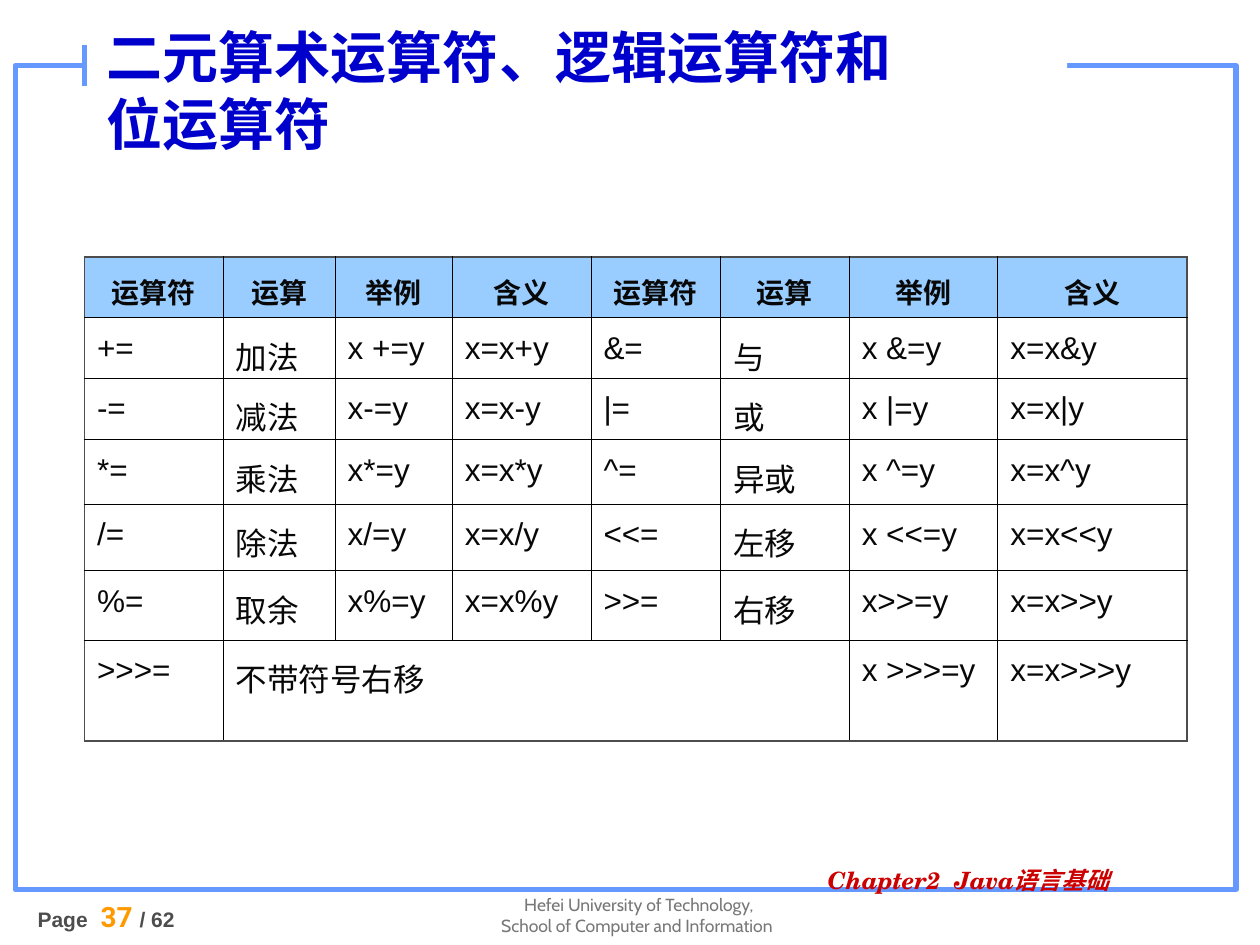
from dataclasses import dataclass

import lxml.etree
import pptx
import pptx.dml.color
import pptx.enum.shapes
import pptx.enum.text
import pptx.oxml.ns
import pptx.util

Inches = pptx.util.Inches
Pt = pptx.util.Pt
RGBColor = pptx.dml.color.RGBColor
Align = pptx.enum.text.PP_ALIGN
Anchor = pptx.enum.text.MSO_ANCHOR
qn = pptx.oxml.ns.qn

WHITE = RGBColor(0xFF, 0xFF, 0xFF)
BLACK = RGBColor(0x00, 0x00, 0x00)
INK = RGBColor(0x08, 0x08, 0x08)
CHARCOAL = RGBColor(0x4D, 0x4D, 0x4D)
GREY = RGBColor(0x77, 0x77, 0x77)
FRAME_BLUE = RGBColor(0x66, 0x99, 0xFF)
HEADER_BLUE = RGBColor(0x99, 0xCC, 0xFF)
TITLE_BLUE = RGBColor(0x00, 0x00, 0xCC)
ORANGE = RGBColor(0xFF, 0x99, 0x00)
RED = RGBColor(0xCC, 0x00, 0x00)


@dataclass(frozen=True)
class Style:
    font: str
    size: float
    color: RGBColor
    bold: bool = False
    italic: bool = False


@dataclass(frozen=True)
class Span:
    text: str
    style: Style


@dataclass(frozen=True)
class TextBlock:
    left: float
    top: float
    width: float
    height: float
    lines: list[list[Span]]
    align: Align = Align.LEFT
    anchor: Anchor = Anchor.TOP
    spacing: float = 1.0


TITLE = Style("Arial", 32, TITLE_BLUE, bold=True)
FOOTER = Style("Cabin", 10, GREY)
PAGE_LABEL = Style("Arial", 12, CHARCOAL, bold=True)
PAGE_GAP = Style("Roboto", 16, ORANGE)
PAGE_NUMBER = Style("Roboto", 16, ORANGE, bold=True)
CHAPTER = Style("TeX Gyre Schola", 13.6, RED, bold=True, italic=True)
HEADER_CELL = Style("Arial", 16, INK, bold=True)
BODY_CELL = Style("Arial", 18, INK)

TEXT_BLOCKS = [
    TextBlock(3.8, 7.05, 2.54, 0.6,
              [[Span("Hefei University of Technology,", FOOTER)],
               [Span("School of Computer and Information ", FOOTER)]],
              align=Align.CENTER),
    TextBlock(0.2, 7.09, 1.81, 0.67,
              [[Span("Page ", PAGE_LABEL), Span(" ", PAGE_GAP),
                Span("37 ", PAGE_NUMBER), Span("/ 62", PAGE_LABEL)]]),
    TextBlock(6.47, 6.85, 3.07, 0.35,
              [[Span("Chapter2  Java语言基础", CHAPTER)]], spacing=0.9),
    TextBlock(0.75, 0.11, 6.77, 1.2,
              [[Span("二元算术运算符、逻辑运算符和位运算符", TITLE)]],
              anchor=Anchor.MIDDLE),
]

COLUMN_WIDTHS = [1.1, 0.89, 0.93, 1.1, 1.03, 1.02, 1.18, 1.5]
ROW_HEIGHTS = [0.48, 0.48, 0.49, 0.51, 0.53, 0.55, 0.8]
OPERATORS = [
    ["运算符", "运算", "举例", "含义"] * 2,
    ["+=", "加法", "x +=y", "x=x+y", "&=", "与", "x &=y", "x=x&y"],
    ["-=", "减法", "x-=y", "x=x-y", "|=", "或", "x |=y", "x=x|y"],
    ["*=", "乘法", "x*=y", "x=x*y", "^=", "异或", "x ^=y", "x=x^y"],
    ["/=", "除法", "x/=y", "x=x/y", "<<=", "左移", "x <<=y", "x=x<<y"],
    ["%=", "取余", "x%=y", "x=x%y", ">>=", "右移", "x>>=y", "x=x>>y"],
    [">>>=", "不带符号右移", "", "", "", "", "x >>>=y", "x=x>>>y"],
]


def add_span(para, span: Span) -> None:
    run = para.add_run()
    run.text = span.text
    run.font.name = span.style.font
    run.font.size = Pt(span.style.size)
    run.font.bold = span.style.bold
    run.font.italic = span.style.italic
    run.font.color.rgb = span.style.color


def add_text(page, block: TextBlock) -> None:
    box = page.shapes.add_textbox(Inches(block.left), Inches(block.top),
                                  Inches(block.width), Inches(block.height))
    frame = box.text_frame
    frame.word_wrap = True
    frame.vertical_anchor = block.anchor
    for index, line in enumerate(block.lines):
        para = frame.add_paragraph() if index else frame.paragraphs[0]
        para.alignment = block.align
        para.line_spacing = block.spacing
        for span in line:
            add_span(para, span)


def add_rectangle(page, left: float, top: float, width: float, height: float):
    shape = page.shapes.add_shape(
        pptx.enum.shapes.MSO_SHAPE.RECTANGLE,
        Inches(left), Inches(top), Inches(width), Inches(height))
    shape.shadow.inherit = False
    return shape


def add_frame(page) -> None:
    border = add_rectangle(page, 0.12, 0.52, 9.69, 6.54)
    border.fill.background()
    border.line.color.rgb = FRAME_BLUE
    border.line.width = Pt(3)
    title_gap = add_rectangle(page, 0.67, 0.28, 7.8, 0.35)
    title_gap.fill.solid()
    title_gap.fill.fore_color.rgb = WHITE
    title_gap.line.fill.background()


def add_title_tick(page) -> None:
    tick = page.shapes.add_connector(
        pptx.enum.shapes.MSO_CONNECTOR.STRAIGHT,
        Inches(0.67), Inches(0.36), Inches(0.67), Inches(0.68))
    tick.line.color.rgb = FRAME_BLUE
    tick.line.width = Pt(3)
    lxml.etree.SubElement(tick._element.spPr, qn("a:effectLst"))


def set_borders(cell, outer_sides: dict[str, bool]) -> None:
    properties = cell._tc.get_or_add_tcPr()
    for index, (side, outer) in enumerate(outer_sides.items()):
        line = lxml.etree.Element(qn(f"a:ln{side}"))
        line.set("w", str(Pt(1.08 if outer else 0.45)))
        fill = lxml.etree.SubElement(line, qn("a:solidFill"))
        color = lxml.etree.SubElement(fill, qn("a:srgbClr"))
        color.set("val", str(CHARCOAL if outer else BLACK))
        properties.insert(index, line)


def add_operator_table(page) -> None:
    last_row, last_column = len(ROW_HEIGHTS) - 1, len(COLUMN_WIDTHS) - 1
    table = page.shapes.add_table(
        len(ROW_HEIGHTS), len(COLUMN_WIDTHS), Inches(0.67), Inches(2.04),
        Inches(sum(COLUMN_WIDTHS)), Inches(sum(ROW_HEIGHTS))).table
    table.first_row = False
    table.horz_banding = False
    for column, width in zip(table.columns, COLUMN_WIDTHS):
        column.width = Inches(width)
    for row, height in zip(table.rows, ROW_HEIGHTS):
        row.height = Inches(height)
    table.cell(last_row, 1).merge(table.cell(last_row, 5))
    for r, texts in enumerate(OPERATORS):
        for c, text in enumerate(texts):
            cell = table.cell(r, c)
            if r == 0:
                cell.fill.solid()
                cell.fill.fore_color.rgb = HEADER_BLUE
            else:
                cell.fill.background()
            set_borders(cell, {"L": c == 0, "R": c == last_column,
                               "T": r == 0, "B": r == last_row})
            if text:
                para = cell.text_frame.paragraphs[0]
                para.alignment = Align.LEFT if r else Align.CENTER
                para.line_spacing = 1.2
                add_span(para, Span(text, BODY_CELL if r else HEADER_CELL))


def main() -> None:
    deck = pptx.Presentation()
    deck.slide_width = Inches(10)
    deck.slide_height = Inches(7.5)
    page = deck.slides.add_slide(deck.slide_layouts[6])
    add_frame(page)
    add_title_tick(page)
    for block in TEXT_BLOCKS:
        add_text(page, block)
    add_operator_table(page)
    deck.save("out.pptx")


if __name__ == "__main__":
    main()
